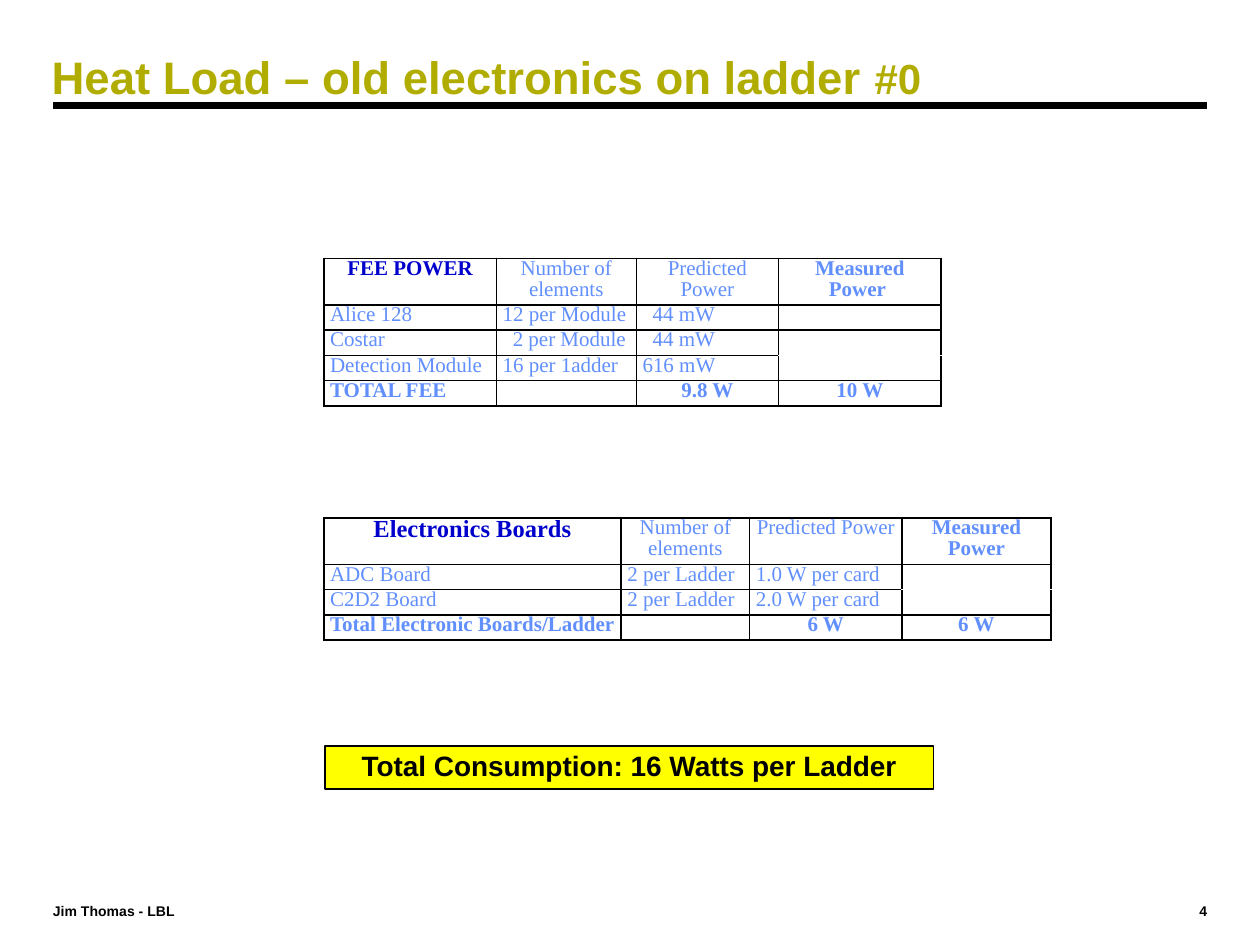
from lxml.etree import SubElement
from pptx import Presentation
from pptx.dml.color import RGBColor
from pptx.enum.shapes import MSO_CONNECTOR, MSO_SHAPE
from pptx.enum.text import MSO_ANCHOR, MSO_AUTO_SIZE, PP_ALIGN
from pptx.oxml.ns import qn
from pptx.util import Inches, Pt

BLACK = RGBColor(0x00, 0x00, 0x00)
OLIVE = RGBColor(0xB0, 0xAC, 0x00)
NAVY = RGBColor(0x00, 0x00, 0xCC)
SKY = RGBColor(0x61, 0x8F, 0xFD)
YELLOW = RGBColor(0xFF, 0xFF, 0x00)

HEAD = 0.37    # height of a table's first row
SPACE = 0.04   # width of one space in table text

# A pair is (indent in spaces, text).
FEE = [
    ["FEE POWER", "Number of elements", "Predicted Power", "Measured Power "],
    ["Alice\u00a0128", "12 per Module", (2, "44 mW"), ""],
    ["Costar", (2, "2 per Module"), (2, "44 mW"), ""],
    ["Detection Module", "16 per 1adder", "616 mW", ""],
    ["TOTAL FEE", "", "9.8 W", "10 W"],
]
BOARDS = [
    ["Electronics Boards", "Number of elements", "Predicted Power", "Measured Power"],
    ["ADC Board", "2 per Ladder", "1.0 W per card", ""],
    ["C2D2 Board", "2 per Ladder", "2.0 W per card", ""],
    ["Total Electronic Boards/Ladder", "", "6 W", "6 W"],
]


def style(par, size, color=BLACK, bold=True, name="Arial", align=PP_ALIGN.LEFT, gap=0.9):
    par.alignment = align
    par.line_spacing = gap
    font = par.font
    font.name, font.size, font.bold = name, Pt(size), bold
    font.color.rgb = color


def add_title(slide):
    title = slide.shapes.title
    title.left, title.top = Inches(0.31), Inches(0.34)
    title.width, title.height = Inches(7.73), Inches(0.59)
    frame = title.text_frame
    frame.auto_size = MSO_AUTO_SIZE.NONE
    frame.vertical_anchor = MSO_ANCHOR.MIDDLE
    par = frame.paragraphs[0]
    par.add_run().text = "Heat Load – old electronics on ladder "
    mark = par.add_run()
    mark.text = "#0"
    mark.font.size = Pt(24)
    style(par, 26, OLIVE)


def add_rule(slide):
    line = slide.shapes.add_connector(
        MSO_CONNECTOR.STRAIGHT, Inches(0.42), Inches(0.84), Inches(9.58), Inches(0.84))
    line.line.color.rgb = BLACK
    line.line.width = Pt(4)
    SubElement(line._element.spPr, qn("a:effectLst"))


def add_note(slide, left, text, align):
    box = slide.shapes.add_textbox(Inches(left), Inches(7.16), Inches(2.15), Inches(0.16))
    frame = box.text_frame
    frame.word_wrap = True
    frame.margin_left = frame.margin_right = Inches(0.07)
    frame.margin_top = frame.margin_bottom = Inches(0.03)
    frame.text = text
    style(frame.paragraphs[0], 8, align=align, gap=0.8)


def add_edges(cell, sides):
    props = cell._tc.get_or_add_tcPr()
    for side in sides:
        edge = SubElement(props, qn(f"a:ln{side}"), w=str(Pt(1)))
        fill = SubElement(edge, qn("a:solidFill"))
        SubElement(fill, qn("a:srgbClr"), val=str(BLACK))


def fill_cell(cell, item, **look):
    indent, text = item if isinstance(item, tuple) else (0, item)
    cell.margin_left = cell.margin_right = Inches(0.05)
    cell.margin_top = cell.margin_bottom = 0
    par = cell.text_frame.paragraphs[0]
    if text:
        par.text = text
    else:
        SubElement(par._p, qn("a:endParaRPr"), sz="1200")
    if indent:
        par._p.get_or_add_pPr().set("marL", str(Inches(indent * SPACE)))
    style(par, name="Times New Roman", **look)


def add_grid(slide, top, height, widths, rows, size):
    """Add a table whose last column is open between the two rows above the total."""
    last, end = len(rows) - 1, len(widths) - 1
    table = slide.shapes.add_table(
        len(rows), len(widths), Inches(2.57), Inches(top),
        Inches(sum(widths)), Inches(height)).table
    table.first_row = table.horz_banding = False
    for col, width in zip(table.columns, widths):
        col.width = Inches(width)
    for r, row in enumerate(rows):
        table.rows[r].height = Inches(HEAD if r == 0 else (height - HEAD) / last)
        for c, item in enumerate(row):
            cell = table.cell(r, c)
            corner = r == c == 0
            mid = r == 0 or (r == last and c > 0)
            fill_cell(cell, item, size=size if corner else 12,
                      color=NAVY if corner else SKY,
                      bold=corner or r == last or c == end,
                      align=PP_ALIGN.CENTER if mid else PP_ALIGN.JUSTIFY)
            sides = "LRTB"
            if c == end and r == last - 2:
                sides = "LRT"
            elif c == end and r == last - 1:
                sides = "LRB"
            add_edges(cell, sides)
            cell.fill.background()


def add_total(slide):
    box = slide.shapes.add_shape(
        MSO_SHAPE.RECTANGLE, Inches(2.58), Inches(5.92), Inches(4.83), Inches(0.34))
    box.shadow.inherit = False
    box.fill.solid()
    box.fill.fore_color.rgb = YELLOW
    box.line.color.rgb = BLACK
    box.line.width = Pt(1)
    frame = box.text_frame
    frame.vertical_anchor = MSO_ANCHOR.TOP
    frame.text = "Total Consumption: 16 Watts per Ladder"
    style(frame.paragraphs[0], 16, align=PP_ALIGN.CENTER)


def main():
    deck = Presentation()
    deck.slide_width, deck.slide_height = Inches(10), Inches(7.5)
    slide = deck.slides.add_slide(deck.slide_layouts[5])
    add_note(slide, 7.5, "4", PP_ALIGN.RIGHT)
    add_rule(slide)
    add_note(slide, 0.35, "Jim Thomas - LBL", PP_ALIGN.LEFT)
    add_title(slide)
    add_grid(slide, 2.05, 1.11, [1.37, 1.11, 1.13, 1.29], FEE, 12)
    add_grid(slide, 4.11, 0.93, [2.36, 1.02, 1.21, 1.18], BOARDS, 14)
    add_total(slide)
    deck.save("out.pptx")


if __name__ == "__main__":
    main()
